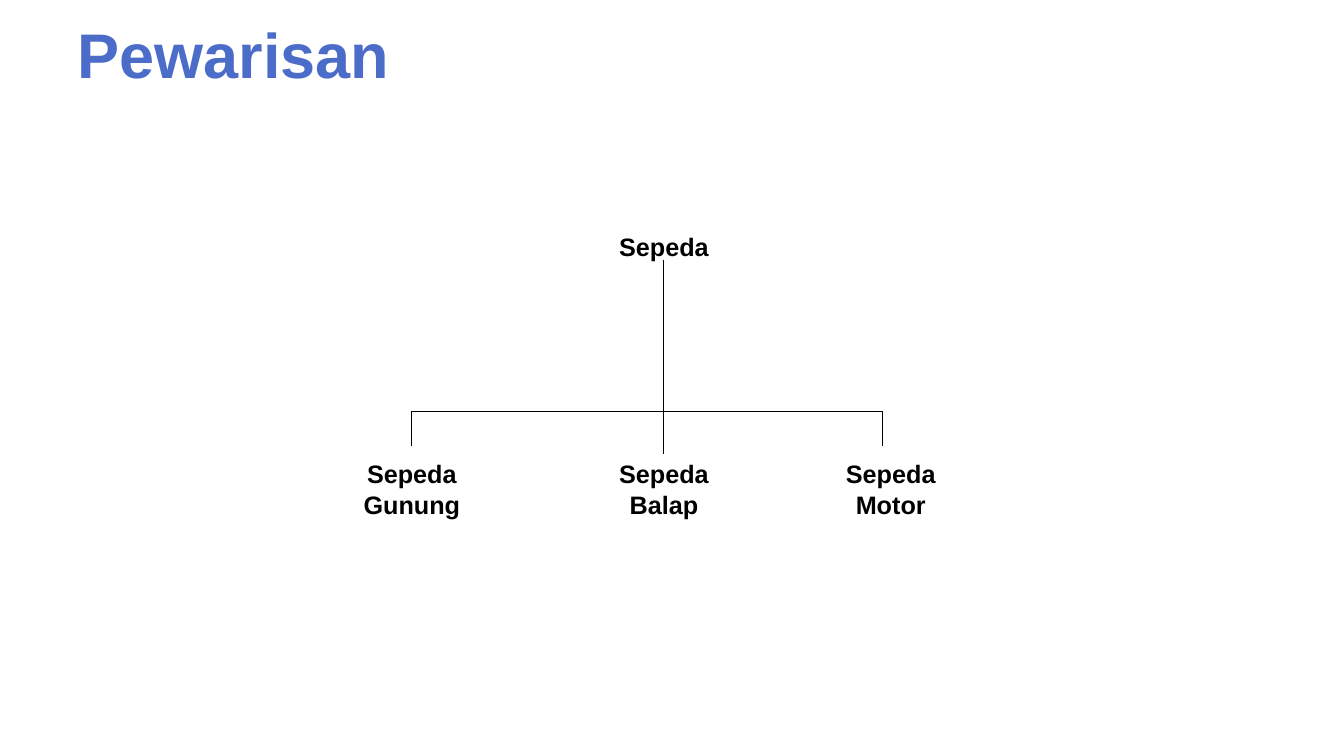
"""Build the inheritance slide: one parent class and its three subclasses."""
from pptx import Presentation
from pptx.dml.color import RGBColor
from pptx.enum.shapes import MSO_CONNECTOR
from pptx.enum.text import MSO_ANCHOR, PP_ALIGN
from pptx.oxml.ns import qn
from pptx.util import Inches, Pt
from lxml import etree

TITLE = "Pewarisan"
BLUE, BLACK = "4B6CC9", "000000"
LABEL_WIDTH = 1.33
PARENT_TOP, CHILD_TOP = 2.25, 4.5
LABELS = [
    ("Sepeda", 5.92, PARENT_TOP, 0.4),
    ("Sepeda Gunung", 3.42, CHILD_TOP, 0.71),
    ("Sepeda Balap", 5.92, CHILD_TOP, 0.71),
    ("Sepeda Motor", 8.17, CHILD_TOP, 0.71),
]
LEFT, CENTER, RIGHT = 4.08, 6.58, 8.75
TRUNK_TOP, BRANCH, BRANCH_END = 2.58, 4.08, 4.42
LINES = [
    (CENTER, TRUNK_TOP, CENTER, CHILD_TOP),
    (LEFT, BRANCH, RIGHT, BRANCH),
    *[(x, BRANCH, x, BRANCH_END) for x in (LEFT, RIGHT)],
]


def color(value):
    return RGBColor.from_string(value)


def apply(target, values):
    for name, value in values.items():
        setattr(target, name, value)


def write(shape, text, size, tint, align, frame_format):
    frame = shape.text_frame
    apply(frame, {"word_wrap": True, **frame_format})
    para = frame.paragraphs[0]
    para.alignment = align
    span = para.add_run()
    span.text = text
    apply(span.font, {"name": "Arial", "size": Pt(size), "bold": True})
    span.font.color.rgb = color(tint)


def add_label(page, text, left, top, height):
    box = page.shapes.add_textbox(*map(Inches, (left, top, LABEL_WIDTH, height)))
    write(box, text, 18, BLACK, PP_ALIGN.CENTER, {})


def add_line(page, *ends):
    line = page.shapes.add_connector(MSO_CONNECTOR.STRAIGHT, *map(Inches, ends))
    line.line.color.rgb = color(BLACK)
    line.line.width = Pt(0.75)
    etree.SubElement(line._element.spPr, qn("a:effectLst"))


def main():
    deck = Presentation()
    apply(deck, {"slide_width": Inches(13.33), "slide_height": Inches(7.5)})
    page = deck.slides.add_slide(deck.slide_layouts[5])
    title = page.shapes.title
    apply(title, {"left": Inches(0.67), "top": Inches(0.21),
                  "width": Inches(12), "height": Inches(0.64)})
    write(title, TITLE, 45, BLUE, PP_ALIGN.LEFT, {
        "vertical_anchor": MSO_ANCHOR.MIDDLE,
        "margin_left": Inches(0.1), "margin_right": Inches(0.05),
        "margin_top": Inches(0.05), "margin_bottom": Inches(0.05)})
    for label in LABELS:
        add_label(page, *label)
    for ends in LINES:
        add_line(page, *ends)
    deck.save("out.pptx")


if __name__ == "__main__":
    main()
